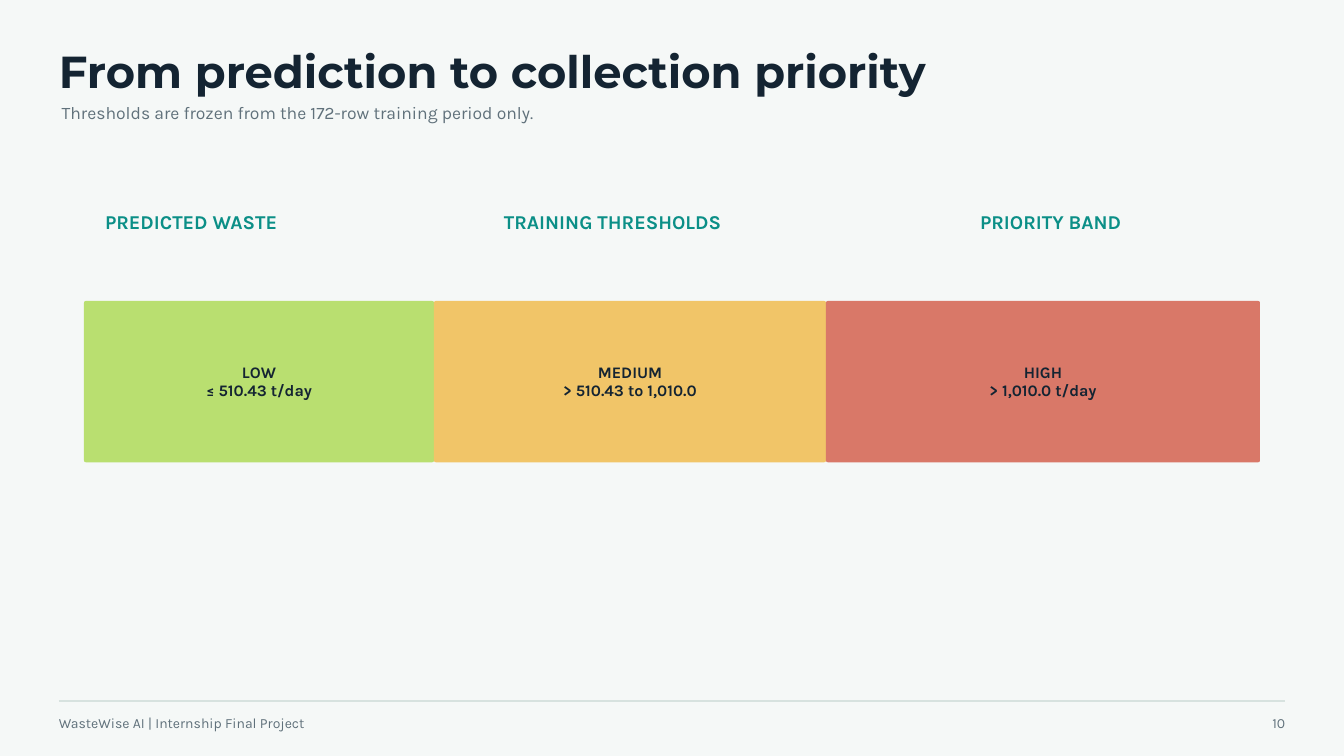
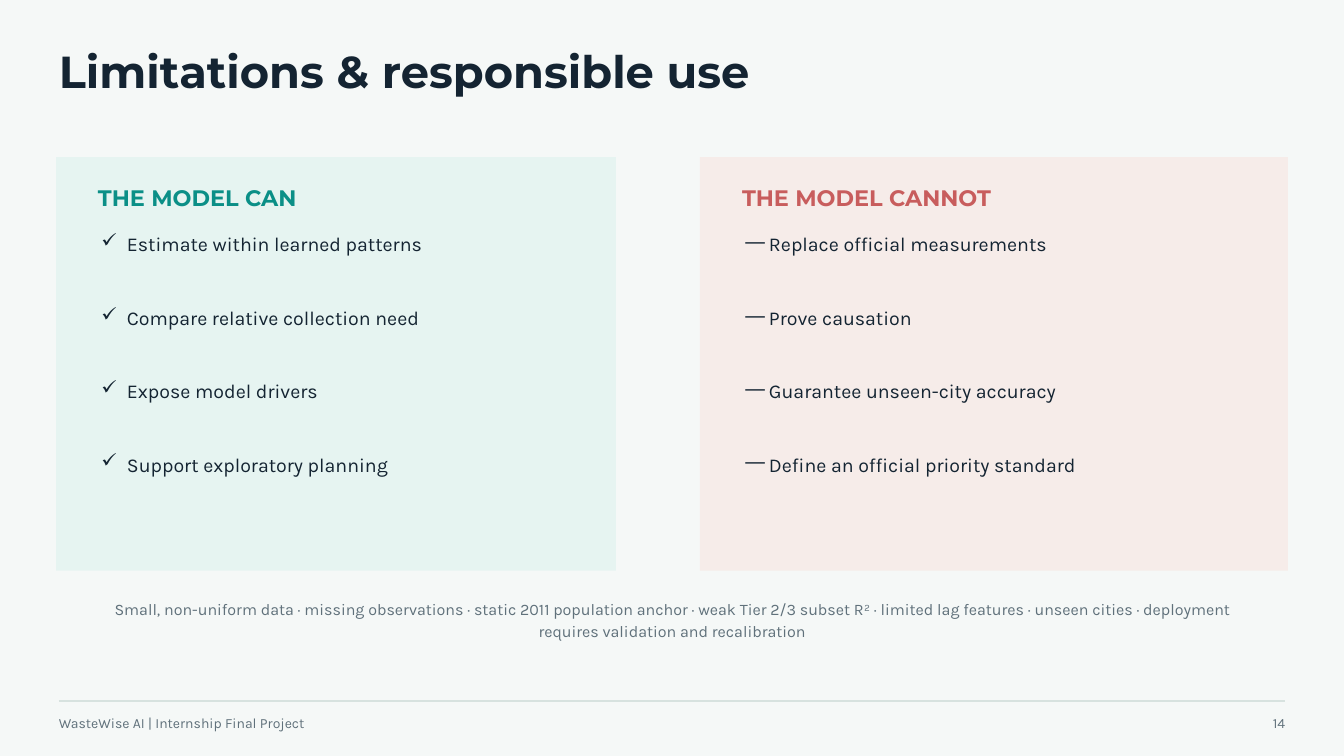
"""Build the priority band and responsible use slides."""
import dataclasses
import itertools

import pptx
import pptx.dml.color
import pptx.enum.shapes
import pptx.enum.text
import pptx.oxml
import pptx.oxml.ns
import pptx.shapes.base
import pptx.slide
import pptx.text.text
import pptx.util

Pt = pptx.util.Pt
ALIGN = pptx.enum.text.PP_ALIGN
ANCHOR = pptx.enum.text.MSO_ANCHOR
SHAPE = pptx.enum.shapes.MSO_SHAPE


@dataclasses.dataclass(frozen=True)
class Style:
    """Type style of one kind of text."""
    font: str
    size: float
    line: float
    color: str
    bold: bool = False


@dataclasses.dataclass(frozen=True)
class Theme:
    """Colours and type styles shared by the slides."""
    paper: str = "F5F8F7"
    rule: str = "D7E2DF"
    teal: str = "0B8F87"
    coral: str = "C85D5D"
    mint: str = "E6F4F1"
    blush: str = "F6ECE9"
    low: str = "B9DF70"
    medium: str = "F1C568"
    high: str = "D97868"
    title: Style = Style("Montserrat", 48, 50.4, "142432", True)
    subtitle: Style = Style("Karla", 18.8, 25.3, "60717B")
    column: Style = Style("Karla", 21, 29.4, teal, True)
    band: Style = Style("Karla", 17.2, 19.8, "142432", True)
    panel: Style = Style("Montserrat", 24, 25.2, teal, True)
    item: Style = Style("Karla", 21, 28.4, "142432")
    note: Style = Style("Karla", 17.2, 23.3, "60717B")
    footer: Style = Style("Karla", 15, 21, "60717B")


@dataclasses.dataclass(frozen=True)
class Box:
    """Position and size in points."""
    left: float
    top: float
    width: float
    height: float

    def emu(self) -> tuple[int, ...]:
        """Return the box as lengths."""
        return tuple(Pt(v) for v in dataclasses.astuple(self))


@dataclasses.dataclass(frozen=True)
class Column:
    """Heading above the priority scale."""
    text: str
    left: float
    width: float


@dataclasses.dataclass(frozen=True)
class Band:
    """One step of the priority scale."""
    name: str
    limits: str
    fill: str


@dataclasses.dataclass(frozen=True)
class Panel:
    """Headed list on a coloured ground."""
    heading: str
    left: float
    width: float
    fill: str
    color: str
    mark: str
    indent: float
    items: tuple[str, ...]


THEME = Theme()
FOOTER = "WasteWise AI | Internship Final Project"
MARGIN, CONTENT_WIDTH = 63, 1314
SCALE_LEFT, SCALE_TOP, SCALE_HEIGHT = 90, 322.5, 172.8
FIRST_BAND, BAND_GROWTH, BAND_RADIUS = 375, 45, 2
PANEL_TOP, PANEL_HEIGHT, ITEM_PITCH = 168.5, 443, 78.75

COLUMNS = (
    Column("PREDICTED WASTE", 112.5, 315),
    Column("TRAINING THRESHOLDS", 540, 360),
    Column("PRIORITY BAND", 1050, 270),
)
BANDS = (
    Band("LOW", "≤ 510.43 t/day", THEME.low),
    Band("MEDIUM", "> 510.43 to 1,010.0", THEME.medium),
    Band("HIGH", "> 1,010.0 t/day", THEME.high),
)
PANELS = (
    Panel("THE MODEL CAN", 60, 600, THEME.mint, THEME.teal, "✓", 27.3,
          ("Estimate within learned patterns", "Compare relative collection need",
           "Expose model drivers", "Support exploratory planning")),
    Panel("THE MODEL CANNOT", 750, 630, THEME.blush, THEME.coral, "—", 25.2,
          ("Replace official measurements", "Prove causation",
           "Guarantee unseen-city accuracy", "Define an official priority standard")),
)
NOTE = ("Small, non-uniform data · missing observations · static 2011 population anchor · "
        "weak Tier 2/3 subset R² · limited lag features · unseen cities · "
        "deployment requires validation and recalibration")


def rgb(color: str) -> pptx.dml.color.RGBColor:
    """Turn a hex string into a colour."""
    return pptx.dml.color.RGBColor.from_string(color)


def add_bullet(p: pptx.text.text._Paragraph, mark: str, indent: float) -> None:
    """Give a paragraph a hanging bullet."""
    pPr = p._p.get_or_add_pPr()
    pPr.set("marL", str(Pt(indent)))
    pPr.set("indent", str(-Pt(indent)))
    bullet = pptx.oxml.parse_xml(f'<a:buChar {pptx.oxml.ns.nsdecls("a")} char="{mark}"/>')
    pPr.append(bullet)


def write(tf: pptx.text.text.TextFrame, lines: tuple[str, ...], style: Style,
          align: ALIGN = ALIGN.LEFT, anchor: ANCHOR = ANCHOR.TOP, inset: float = 0,
          gap: float = 0, mark: str = "", indent: float = 0) -> None:
    """Fill a text frame with one paragraph per line."""
    tf.word_wrap = True
    tf.auto_size = pptx.enum.text.MSO_AUTO_SIZE.NONE
    tf.vertical_anchor = anchor
    tf.margin_left = tf.margin_right = tf.margin_top = tf.margin_bottom = Pt(inset)
    for i, line in enumerate(lines):
        p = tf.add_paragraph() if i else tf.paragraphs[0]
        p.alignment = align
        p.line_spacing = Pt(style.line)
        p.space_before = Pt(gap if i else 0)
        if mark:
            add_bullet(p, mark, indent)
        r = p.add_run()
        r.text = line
        r.font.name = style.font
        r.font.size = Pt(style.size)
        r.font.bold = style.bold
        r.font.color.rgb = rgb(style.color)


def add_text(s: pptx.slide.Slide, box: Box, text: str, style: Style,
             align: ALIGN = ALIGN.LEFT) -> None:
    """Add a one-paragraph text box."""
    write(s.shapes.add_textbox(*box.emu()).text_frame, (text,), style, align)


def add_block(s: pptx.slide.Slide, kind: SHAPE, box: Box,
              fill: str) -> pptx.shapes.base.BaseShape:
    """Add a flat filled shape without an outline."""
    sp = s.shapes.add_shape(kind, *box.emu())
    sp.shadow.inherit = False
    sp.fill.solid()
    sp.fill.fore_color.rgb = rgb(fill)
    sp.line.fill.background()
    return sp


def add_slide(prs: pptx.presentation.Presentation, title: str, number: int) -> pptx.slide.Slide:
    """Add a slide with its title, footer rule and footer."""
    s = prs.slides.add_slide(prs.slide_layouts.get_by_name("Title Only"))
    sp = s.shapes.title
    sp.left, sp.top, sp.width, sp.height = Box(MARGIN, 54, 1125, 51).emu()
    write(sp.text_frame, (title,), THEME.title)
    right = MARGIN + CONTENT_WIDTH
    rule = s.shapes.add_connector(pptx.enum.shapes.MSO_CONNECTOR.STRAIGHT,
                                  Pt(MARGIN), Pt(751), Pt(right), Pt(751))
    rule.line.color.rgb = rgb(THEME.rule)
    rule.line.width = Pt(1.5)
    rule._element.spPr.append(
        pptx.oxml.parse_xml(f'<a:effectLst {pptx.oxml.ns.nsdecls("a")}/>'))
    add_text(s, Box(MARGIN, 762.5, 465, 21), FOOTER, THEME.footer)
    add_text(s, Box(right - 57, 762.5, 57, 21), str(number), THEME.footer, ALIGN.RIGHT)
    return s


def add_band(s: pptx.slide.Slide, band: Band, left: float, width: float) -> None:
    """Draw one labelled step of the priority scale."""
    sp = add_block(s, SHAPE.ROUNDED_RECTANGLE,
                   Box(left, SCALE_TOP, width, SCALE_HEIGHT), band.fill)
    sp.adjustments[0] = BAND_RADIUS / SCALE_HEIGHT
    write(sp.text_frame, (band.name, band.limits), THEME.band,
          ALIGN.CENTER, ANCHOR.MIDDLE, inset=4.5)


def add_panel(s: pptx.slide.Slide, panel: Panel) -> None:
    """Draw a panel with its heading and list."""
    add_block(s, SHAPE.RECTANGLE,
              Box(panel.left, PANEL_TOP, panel.width, PANEL_HEIGHT), panel.fill)
    add_text(s, Box(panel.left + 45, 201, panel.width - 150, 26), panel.heading,
             dataclasses.replace(THEME.panel, color=panel.color))
    height = ITEM_PITCH * (len(panel.items) - 1) + THEME.item.line
    sp = s.shapes.add_textbox(
        *Box(panel.left + 48.75, 245.5, panel.width - 112.5, height).emu())
    write(sp.text_frame, panel.items, THEME.item, gap=ITEM_PITCH - THEME.item.line,
          mark=panel.mark, indent=panel.indent)


def build_priority(prs: pptx.presentation.Presentation) -> None:
    """Build the priority scale slide."""
    s = add_slide(prs, "From prediction to collection priority", 10)
    add_text(s, Box(66, 106.5, 1087, 25), 
             "Thresholds are frozen from the 172-row training period only.", THEME.subtitle)
    for column in COLUMNS:
        add_text(s, Box(column.left, 221, column.width, 29), column.text, THEME.column)
    widths = [FIRST_BAND + BAND_GROWTH * i for i in range(len(BANDS))]
    lefts = itertools.accumulate(widths, initial=SCALE_LEFT)
    for band, left, width in zip(BANDS, lefts, widths):
        add_band(s, band, left, width)


def build_limits(prs: pptx.presentation.Presentation) -> None:
    """Build the responsible use slide."""
    s = add_slide(prs, "Limitations & responsible use", 14)
    for panel in PANELS:
        add_panel(s, panel)
    add_text(s, Box(112.5, 640, 1215, 46), NOTE, THEME.note, ALIGN.CENTER)


def main() -> None:
    """Build and save the presentation."""
    prs = pptx.Presentation()
    prs.slide_width, prs.slide_height = Pt(1440), Pt(810)
    fill = prs.slide_master.background.fill
    fill.solid()
    fill.fore_color.rgb = rgb(THEME.paper)
    build_priority(prs)
    build_limits(prs)
    prs.save("out.pptx")


if __name__ == "__main__":
    main()
